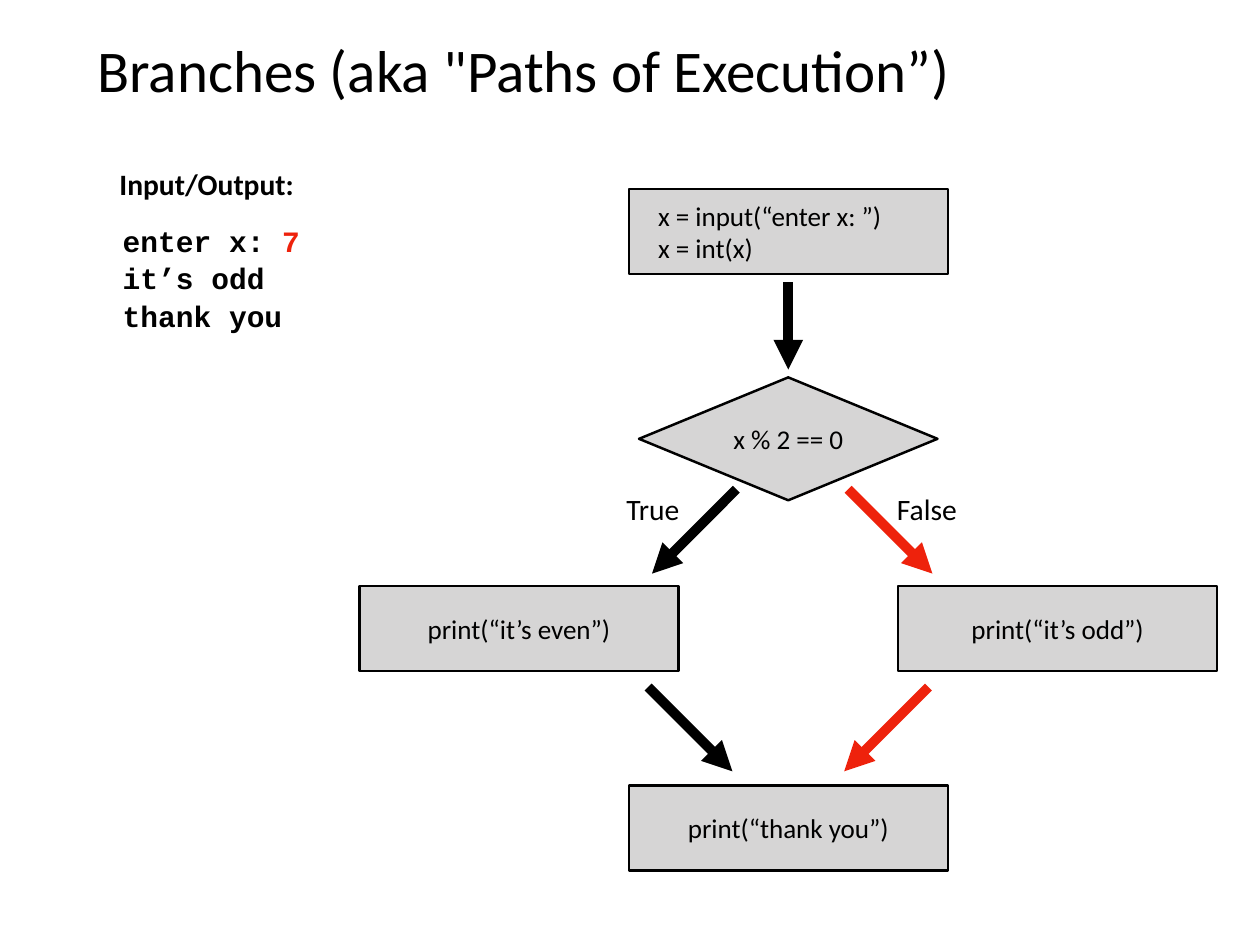
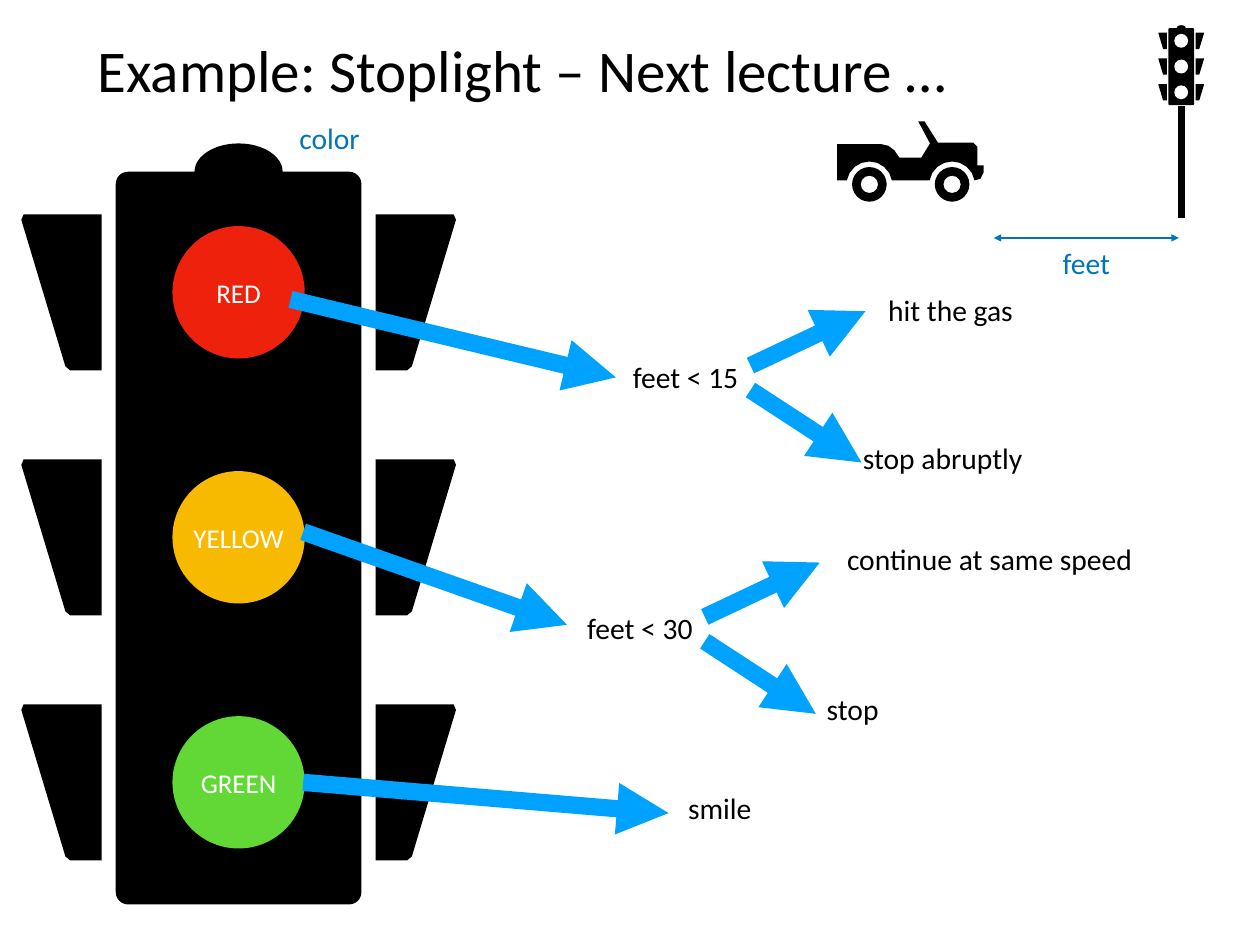
from math import cos, radians, sin

from lxml.etree import SubElement
from pptx import Presentation
from pptx.dml.color import RGBColor
from pptx.enum.shapes import MSO_CONNECTOR, MSO_SHAPE
from pptx.enum.text import MSO_ANCHOR, PP_ALIGN
from pptx.oxml.ns import qn
from pptx.util import Inches, Pt

WIDTH, HEIGHT = Inches(14.22), Inches(10.66)
COLUMNS = 160  # the grid is square: 160 columns by 120 rows
BLACK, WHITE, GREY = "000000", "FFFFFF", "D6D5D5"
RED, YELLOW, GREEN = "EE220C", "F8BA00", "61D836"
BLUE, SKY = "0076BA", "00A2FF"
LEFT, CENTER = PP_ALIGN.LEFT, PP_ALIGN.CENTER
LABEL_ROWS = 5.7


def grid(*cells):
    """Turn grid cells into EMU lengths."""
    return [round(c * WIDTH / COLUMNS) for c in cells]


def rgb(color):
    return RGBColor.from_string(color)


def write(shape, *lines, size=24, color=BLACK, font="Calibri", bold=False,
          align=CENTER, anchor=MSO_ANCHOR.MIDDLE, inset=0.06, spacing=None,
          wrap=True):
    """Fill a shape; a line is a string or a list of (text, color) runs."""
    tf = shape.text_frame
    tf.word_wrap = wrap
    tf.vertical_anchor = anchor
    tf.margin_left = Inches(inset)
    tf.margin_top = tf.margin_right = tf.margin_bottom = Inches(0.06)
    for i, line in enumerate(lines):
        p = tf.add_paragraph() if i else tf.paragraphs[0]
        p.alignment = align
        if spacing:
            p.line_spacing = spacing
        for text, tint in [(line, color)] if isinstance(line, str) else line:
            r = p.add_run()
            r.text = text
            r.font.name, r.font.size, r.font.bold = font, Pt(size), bold
            r.font.color.rgb = rgb(tint)


def add_label(s, left, top, width, *lines, height=LABEL_ROWS, **style):
    write(s.shapes.add_textbox(*grid(left, top, width, height)), *lines, **style)


def paint(shape, fill, line=None):
    shape.shadow.inherit = False
    shape.fill.solid()
    shape.fill.fore_color.rgb = rgb(fill)
    if line:
        shape.line.color.rgb = rgb(line)
        shape.line.width = Pt(2)
    else:
        shape.line.fill.background()


def add_preset(s, kind, cx, cy, width, height, fill=BLACK, line=None):
    """Add a preset shape around a centre point."""
    shape = s.shapes.add_shape(
        kind, *grid(cx - width / 2, cy - height / 2, width, height))
    paint(shape, fill, line)
    return shape


def add_box(s, cx, cy, width, height, *lines, kind=MSO_SHAPE.RECTANGLE, **style):
    box = add_preset(s, kind, cx, cy, width, height, GREY, BLACK)
    write(box, *lines, size=22, **style)


def add_line(s, x1, y1, x2, y2, color=BLACK, width=8, ends=("tailEnd",)):
    line = s.shapes.add_connector(MSO_CONNECTOR.STRAIGHT, *grid(x1, y1, x2, y2))
    line.line.color.rgb = rgb(color)
    line.line.width = Pt(width)
    sppr = line._element.spPr
    for end in ends:
        SubElement(sppr.find(qn("a:ln")), qn("a:" + end), type="triangle")
    SubElement(sppr, qn("a:effectLst"))


def add_silhouette(s, x, y, contours, scale=1):
    """Add one black freeform made of closed contours."""
    placed = [[grid(x + px * scale, y + py * scale) for px, py in contour]
              for contour in contours]
    builder = s.shapes.build_freeform(*placed[0][0], scale=1.0)
    for i, contour in enumerate(placed):
        if i:
            builder.move_to(*contour[0])
        builder.add_line_segments(contour[1:], close=True)
    paint(builder.convert_to_shape(), BLACK)


def add_stoplight(s, x, y, lamps, scale=1):
    """Add a stoplight from its top centre; lamps are (name, color) pairs."""
    def part(kind, cy, width, height, fill=BLACK):
        return add_preset(s, kind, x, y + cy * scale, width * scale,
                          height * scale, fill)

    part(MSO_SHAPE.OVAL, 3.6, 11.2, 7.2)
    part(MSO_SHAPE.ROUNDED_RECTANGLE, 50.1, 31.2, 93).adjustments[0] = 0.05
    hood = [(17.4, 0), (27.3, 0), (27.6, 0.7), (22, 19.3), (21.4, 19.8), (17.4, 19.8)]
    hoods = []
    for i, (name, color) in enumerate(lamps):
        drop = 31.1 * i
        lamp = part(MSO_SHAPE.OVAL, 18.9 + drop, 16.8, 16.8, color)
        if name:
            write(lamp, name, size=22, color=WHITE, wrap=False)
        hoods += [[(side * px, 9 + drop + py) for px, py in hood]
                  for side in (-1, 1)]
    add_silhouette(s, x, y, hoods, scale)


def add_jeep(s, x, y):
    wheels = (4.1, 14.6)
    body = [(10.3, 0), (11.8, 2.8), (10.7, 4.6), (7.9, 4.6), (7.3, 3.7),
            (6.5, 3.1), (5.6, 2.9), (0, 2.9), (0, 7.5)]
    for cx in wheels:
        body += [(cx + 2.9 * cos(radians(a)), 8 + 2.9 * sin(radians(a)))
                 for a in range(190, 351, 20)]
        add_preset(s, MSO_SHAPE.DONUT, x + cx, y + 8, 4.4, 4.4)
    body += [(18.2, 7.3), (18.6, 6.5), (18.6, 5.6), (17.8, 5.6), (17.8, 3.2),
             (17.3, 2.7), (12.8, 2.7), (11.1, 0)]
    add_silhouette(s, x, y, [body])


def add_question(s, left, top, text):
    """Add a condition with its two outgoing arrows."""
    add_label(s, left, top, 16.5, text)
    for start, dx, dy in ((1.5, 31.1, -5.4), (4.6, 30.6, 13.8)):
        add_line(s, left + 16.5, top + start, left + dx, top + dy, SKY, 14)


def add_titled_slide(prs, title):
    s = prs.slides.add_slide(prs.slide_layouts[6])
    add_label(s, 11.7, 3.2, 136.6, title, height=11.1, size=48, align=LEFT)
    return s


def build_branches(prs):
    s = add_titled_slide(prs, "Branches (aka \"Paths of Execution”)")
    add_label(s, 14.5, 20.5, 27.8, "Input/Output:", bold=True, align=LEFT)
    add_label(s, 14.9, 27.3, 27, [("enter x: ", BLACK), ("7", RED)], "it’s odd",
              "thank you", height=14.7, font="Courier New", bold=True,
              align=LEFT, anchor=MSO_ANCHOR.TOP, spacing=1.06)

    middle, step, box = 100.1, 34.2, (40.5, 10.8)
    add_box(s, middle, 29.4, *box, "x = input(“enter x: ”)", "x = int(x)",
            align=LEFT, inset=0.33)
    add_box(s, middle, 55.7, 37.9, 15.6, "x % 2 == 0", kind=MSO_SHAPE.DIAMOND)
    add_box(s, middle, 105.1, *box, "print(“thank you”)")
    add_line(s, middle, 35.8, middle, 46.9)
    for side, color, answer, label_x, word in (
            (-1, BLACK, "True", 77.9, "even"), (1, RED, "False", 112.7, "odd")):
        add_box(s, middle + side * step, 79.8, *box, f"print(“it’s {word}”)")
        near, far = side * 7.1, side * 17.8
        add_line(s, middle + 0.5 + near, 62.1, middle + 0.5 + far, 72.8, color)
        add_line(s, middle + far, 87.2, middle + near, 97.9, color)
        add_label(s, label_x, 61.7, 10, answer)


def build_stoplight(prs):
    s = add_titled_slide(prs, "Example: Stoplight – Next lecture …")
    add_stoplight(s, 30.3, 18.2,
                  (("RED", RED), ("YELLOW", YELLOW), ("GREEN", GREEN)))
    add_stoplight(s, 150, 3.2, [("", WHITE)] * 3, scale=0.105)
    add_jeep(s, 106.3, 15.4)
    add_line(s, 150, 27.7, 150, 13.4, width=6, ends=())
    add_line(s, 126.2, 30.2, 149.7, 30.2, BLUE, 2, ends=("headEnd", "tailEnd"))
    add_label(s, 133.9, 30.5, 8.1, "feet", color=BLUE)
    add_label(s, 36.8, 14.6, 10.1, "color", color=BLUE)

    for ends in ((36.9, 38, 78.2, 47.9), (38.5, 67.5, 72, 79.3),
                 (38.5, 99.3, 84.9, 103.2)):
        add_line(s, *ends, SKY, 14)
    add_question(s, 78.8, 44.9, "feet < 15")
    add_question(s, 73, 76.8, "feet < 30")
    for left, top, width, action, align in (
            (110.8, 36.5, 19.8, "hit the gas", CENTER),
            (108.9, 55.2, 24.8, "stop abruptly", LEFT),
            (104, 68.1, 43.3, "continue at same speed", CENTER),
            (104.3, 87.1, 9, "stop", LEFT),
            (86.1, 99.7, 10.6, "smile", CENTER)):
        add_label(s, left, top, width, action, align=align)


def main():
    prs = Presentation()
    prs.slide_width, prs.slide_height = WIDTH, HEIGHT
    build_branches(prs)
    build_stoplight(prs)
    prs.save("out.pptx")


if __name__ == "__main__":
    main()
